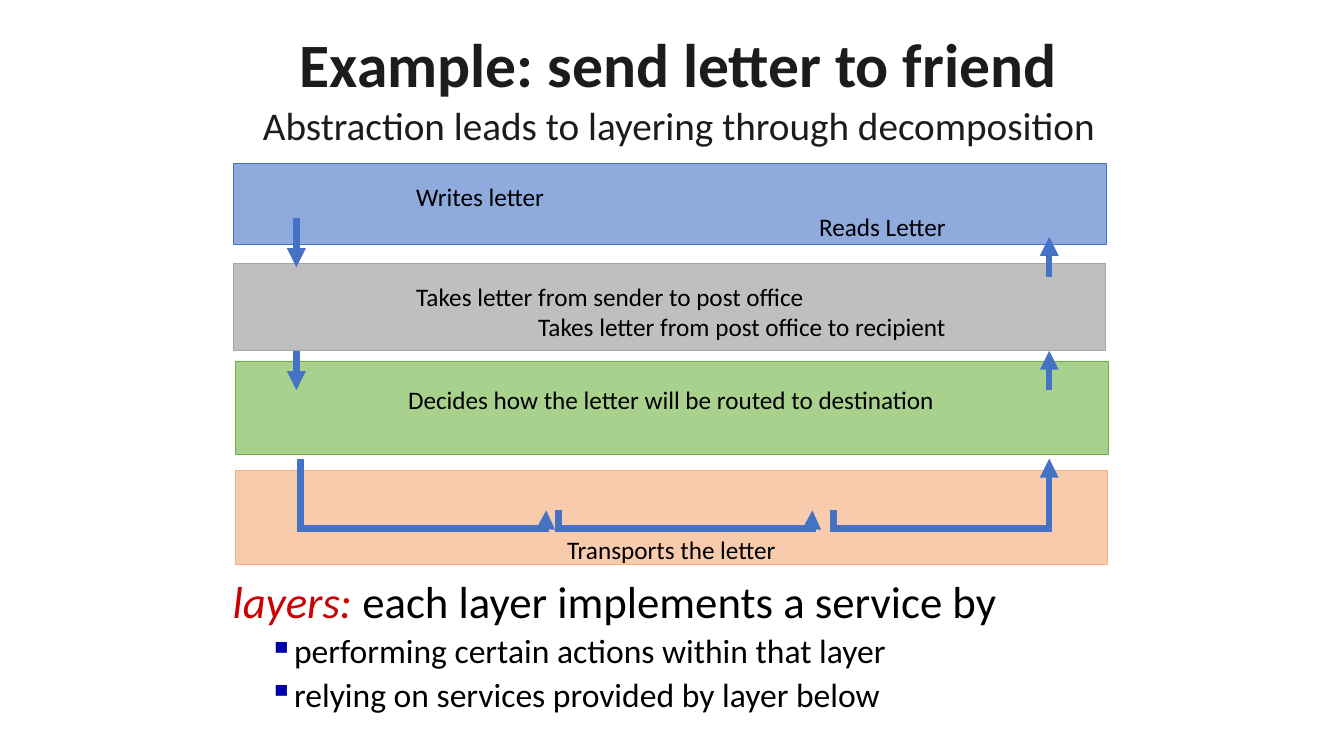
"""Build a slide that explains layering with the example of a posted letter."""
from lxml import etree
from pptx import Presentation
from pptx import util as u
from pptx.dml.color import RGBColor
from pptx.enum import shapes, text
from pptx.oxml.ns import qn

THEME = {
    "font": "Calibri", "title": 44, "subtitle": 28, "lead": 32, "bullet_size": 24, "label": 18,
    "ink": "000000", "heading": "1C1C1C", "accent": "CC0000", "bullet": "0000A8",
    "arrow": "4472C4", "arrow_width": 4.5, "border_width": 0.5,
}
LEFT, CENTER, RIGHT = text.PP_ALIGN.LEFT, text.PP_ALIGN.CENTER, text.PP_ALIGN.RIGHT

LAYER_WIDTH = 623
LAYERS = [
    {"box": (168, 336.2, LAYER_WIDTH, 67), "fill": "F8CBAD", "border": "F4B183"},
    {"box": (168.5, 257.8, LAYER_WIDTH, 67), "fill": "A9D18E", "border": "70AD47"},
    {"box": (166.5, 188, LAYER_WIDTH, 62), "fill": "BFBFBF", "border": "A5A5A5"},
    {"box": (167, 116.6, LAYER_WIDTH, 58.3), "fill": "8FAADC", "border": "4472C4"},
]
LABELS = [
    ((290.2, 126, 392.4, 51), [("Writes letter", LEFT), ("Reads Letter", RIGHT)]),
    ((290.2, 197.3, 392.4, 51), [("Takes letter from sender to post office", LEFT),
                                 ("Takes letter from post office to recipient", RIGHT)]),
    ((284.4, 270.7, 413.3, 29), [("Decides how the letter will be routed to destination", LEFT)]),
    ((272.9, 378, 413.3, 29), [("Transports the letter", CENTER)]),
]
SENDER_X, RECIPIENT_X = 211.7, 749.5
STRAIGHT_ARROWS = [
    (SENDER_X, 155.5, 190.8), (SENDER_X, 250.6, 278.6),
    (RECIPIENT_X, 278.6, 250.6), (RECIPIENT_X, 198, 169.2),
]
HOP_FLOOR, HOP_TOP, OFFICE_BASE = 377.6, 364.6, 327.6
HOPS = [
    (214.6, OFFICE_BASE, 390.2, HOP_TOP),
    (398.9, HOP_TOP, 580.3, HOP_TOP),
    (595.4, HOP_TOP, RECIPIENT_X, OFFICE_BASE),
]
TITLE_BOX = (64.8, 25.9, 840.2, 90.7)
TITLE = ("Example: send letter to friend", "Abstraction leads to layering through decomposition")
SUMMARY_BOX = (148.3, 410.4, 600.5, 129)
SUMMARY_LEAD = ("layers: ", "each layer implements a service by")
SUMMARY_POINTS = ["performing certain actions within that layer",
                  "relying on services provided by layer below"]


def points(values):
    return [u.Pt(value) for value in values]


def color(name):
    return RGBColor.from_string(THEME.get(name, name))


def apply(target, values):
    for name, value in values.items():
        setattr(target, name, value)


def add_run(paragraph, content, size, ink="ink", **style):
    run = paragraph.add_run()
    run.text = content
    apply(run.font, {"name": THEME["font"], "size": u.Pt(THEME[size]), **style})
    run.font.color.rgb = color(ink)


def add_text_frame(slide, box, anchor=text.MSO_ANCHOR.TOP):
    frame = slide.shapes.add_textbox(*points(box)).text_frame
    apply(frame, {"word_wrap": True, "vertical_anchor": anchor})
    return frame


def add_layer(slide, layer):
    shape = slide.shapes.add_shape(shapes.MSO_SHAPE.RECTANGLE, *points(layer["box"]))
    shape.shadow.inherit = False
    shape.fill.solid()
    shape.fill.fore_color.rgb = color(layer["fill"])
    shape.line.color.rgb = color(layer["border"])
    shape.line.width = u.Pt(THEME["border_width"])


def style_arrow(shape):
    shape.line.color.rgb = color("arrow")
    shape.line.width = u.Pt(THEME["arrow_width"])
    properties = shape._element.spPr
    line = properties.find(qn("a:ln"))
    etree.SubElement(line, qn("a:miter"), lim="800000")
    etree.SubElement(line, qn("a:tailEnd"), type="triangle")
    etree.SubElement(properties, qn("a:effectLst"))


def add_straight_arrow(slide, x, start, end):
    style_arrow(slide.shapes.add_connector(
        shapes.MSO_CONNECTOR.STRAIGHT, *points((x, start, x, end))))


def add_hop(slide, start_x, start_y, end_x, end_y):
    builder = slide.shapes.build_freeform(*points((start_x, start_y)))
    corners = [(start_x, HOP_FLOOR), (end_x, HOP_FLOOR), (end_x, end_y)]
    builder.add_line_segments([points(corner) for corner in corners], close=False)
    shape = builder.convert_to_shape()
    shape.fill.background()
    style_arrow(shape)


def set_indent(paragraph, margin, first):
    properties = paragraph._p.get_or_add_pPr()
    properties.set("marL", str(u.Pt(margin)))
    properties.set("indent", str(u.Pt(first)))
    return properties


def add_title(slide):
    paragraph = add_text_frame(slide, TITLE_BOX, text.MSO_ANCHOR.MIDDLE).paragraphs[0]
    apply(paragraph, {"alignment": CENTER, "line_spacing": u.Pt(35)})
    add_run(paragraph, TITLE[0], "title", "heading", bold=True)
    paragraph.add_line_break()
    add_run(paragraph, TITLE[1], "subtitle", "heading")


def add_label(slide, box, lines):
    frame = add_text_frame(slide, box)
    for index, (content, alignment) in enumerate(lines):
        paragraph = frame.add_paragraph() if index else frame.paragraphs[0]
        paragraph.alignment = alignment
        add_run(paragraph, content, "label")


def add_summary(slide):
    frame = add_text_frame(slide, SUMMARY_BOX)
    lead = frame.paragraphs[0]
    set_indent(lead, 28, -17.3)
    lead.line_spacing = 0.9
    add_run(lead, SUMMARY_LEAD[0], "lead", "accent", italic=True)
    add_run(lead, SUMMARY_LEAD[1], "lead")
    for content in SUMMARY_POINTS:
        paragraph = frame.add_paragraph()
        properties = set_indent(paragraph, 54.7, -18)
        bullet_color = etree.SubElement(properties, qn("a:buClr"))
        etree.SubElement(bullet_color, qn("a:srgbClr"), val=THEME["bullet"])
        etree.SubElement(properties, qn("a:buChar"), char="▪")
        apply(paragraph, {"level": 1, "line_spacing": 0.9, "space_before": u.Pt(5)})
        add_run(paragraph, content, "bullet_size")


def main():
    presentation = Presentation()
    apply(presentation, {"slide_width": u.Pt(960), "slide_height": u.Pt(540)})
    slide = presentation.slides.add_slide(presentation.slide_layouts[6])
    for layer in LAYERS:
        add_layer(slide, layer)
    for arrow in STRAIGHT_ARROWS:
        add_straight_arrow(slide, *arrow)
    for hop in HOPS:
        add_hop(slide, *hop)
    for box, lines in LABELS:
        add_label(slide, box, lines)
    add_title(slide)
    add_summary(slide)
    presentation.save("out.pptx")


if __name__ == "__main__":
    main()
